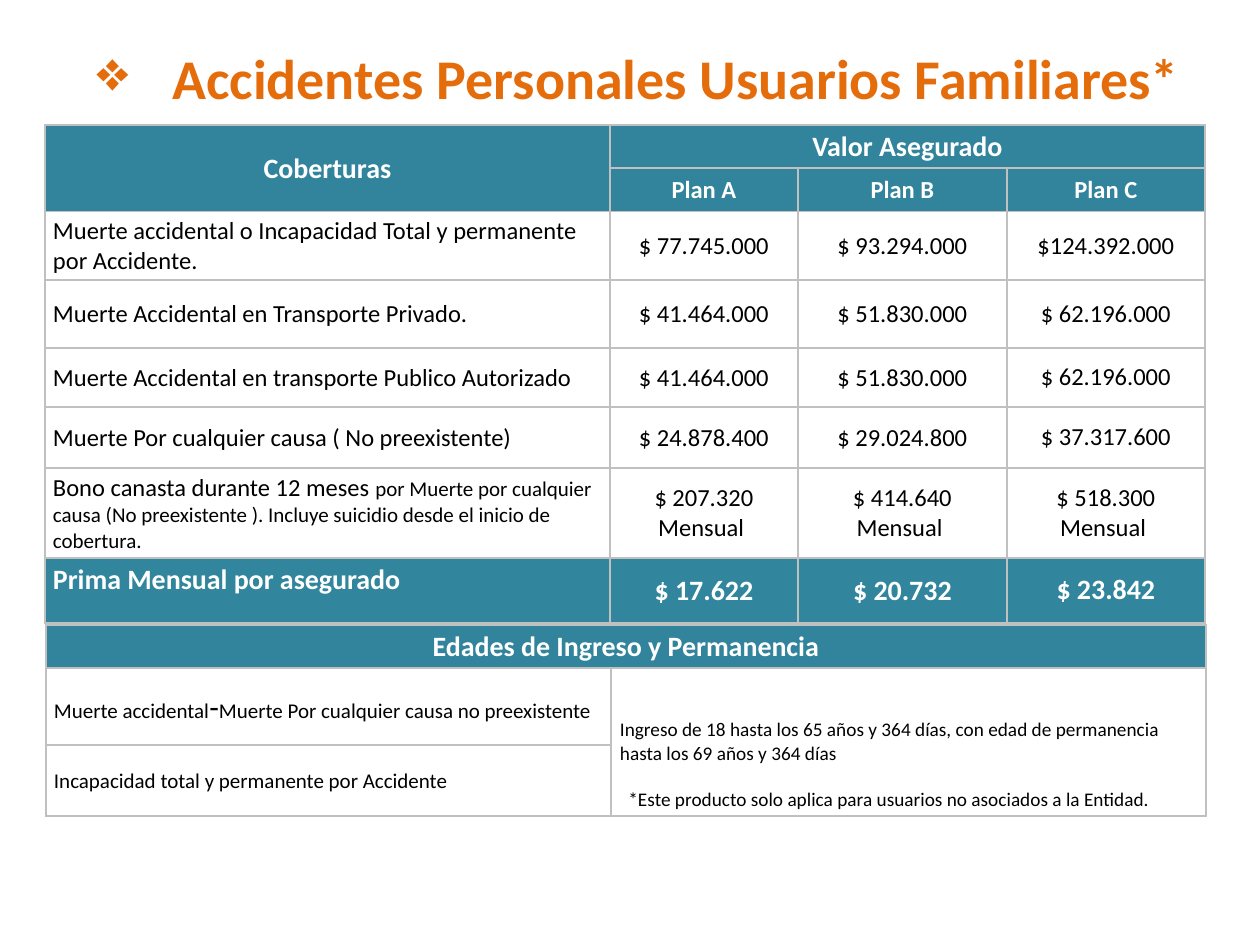
from lxml.etree import SubElement
from pptx import Presentation
from pptx.dml.color import RGBColor
from pptx.enum.text import MSO_ANCHOR, MSO_AUTO_SIZE, PP_ALIGN
from pptx.oxml.ns import qn
from pptx.util import Pt

EMU_PER_PX = 914400 // 126
TEAL, PREMIUM_TEAL = "31849B", "31859C"
WHITE, BLACK, ORANGE, GRAY = "FFFFFF", "000000", "E46C0A", "C0C0C0"

PLANS = ["Plan A", "Plan B", "Plan C"]
COVERAGES = [
    ([("Muerte accidental o Incapacidad Total y permanente por Accidente.", 14)],
     ["$ 77.745.000", "$ 93.294.000", "$124.392.000"]),
    ([("Muerte Accidental en Transporte Privado.", 14)],
     ["$ 41.464.000", "$ 51.830.000", "$ 62.196.000"]),
    ([("Muerte Accidental en transporte Publico Autorizado", 14)],
     ["$ 41.464.000", "$ 51.830.000", "$ 62.196.000"]),
    ([("Muerte Por cualquier causa ( No preexistente)", 14)],
     ["$ 24.878.400", "$ 29.024.800", "$ 37.317.600"]),
    ([("Bono canasta durante 12 meses ", 14),
      ("por Muerte por cualquier causa (No preexistente ). "
       "Incluye suicidio desde el inicio de cobertura.", 12)],
     ["$ 207.320 Mensual ", "$ 414.640\nMensual ", "$ 518.300\nMensual "]),
]
PREMIUMS = ["$ 17.622", "$ 20.732", "$ 23.842"]


def px(length):
    return length * EMU_PER_PX


def rgb(color):
    return RGBColor.from_string(color)


def add_runs(paragraph, runs, color=BLACK, bold=False, align=PP_ALIGN.LEFT):
    paragraph.alignment = align
    for text, size in runs:
        run = paragraph.add_run()
        run.text = text
        run.font.name = "Calibri"
        run.font.size = Pt(size)
        run.font.bold = bold
        run.font.color.rgb = rgb(color)


def add_borders(cell):
    properties = cell._tc.get_or_add_tcPr()
    for side in ("a:lnL", "a:lnR", "a:lnT", "a:lnB"):
        border = SubElement(properties, qn(side), w=str(Pt(1)))
        fill = SubElement(border, qn("a:solidFill"))
        SubElement(fill, qn("a:srgbClr"), val=GRAY)


def add_grid(slide, left, top, widths, heights):
    grid = slide.shapes.add_table(
        len(heights), len(widths), px(left), px(top),
        px(sum(widths)), px(sum(heights))).table
    grid.first_row = grid.horz_banding = False
    for column, width in zip(grid.columns, widths):
        column.width = px(width)
    for row, height in zip(grid.rows, heights):
        row.height = px(height)
    for cell in grid.iter_cells():
        add_borders(cell)
        cell.fill.background()
    return grid


def fill_cell(cell, paragraphs, fill=None, bold=False, align=PP_ALIGN.LEFT,
              anchor=MSO_ANCHOR.MIDDLE, margins=(8, 5, 8, 4)):
    cell.vertical_anchor = anchor
    (cell.margin_left, cell.margin_top,
     cell.margin_right, cell.margin_bottom) = map(px, margins)
    if fill:
        cell.fill.solid()
        cell.fill.fore_color.rgb = rgb(fill)
    color = WHITE if bold else BLACK
    for index, runs in enumerate(paragraphs):
        frame = cell.text_frame
        paragraph = frame.add_paragraph() if index else frame.paragraphs[0]
        add_runs(paragraph, runs, color, bold, align)


def fill_heading(cell, text, size=16, fill=TEAL):
    fill_cell(cell, [[(text, size)]], fill, True, PP_ALIGN.CENTER)


def fill_plan_values(grid, row, values, size=14, fill=None, bold=False):
    for column, value in enumerate(values, 1):
        margins = (9, 0, 9, 0) if column == len(values) else (8, 5, 8, 4)
        lines = [[(line, size)] for line in value.split("\n")]
        fill_cell(grid.cell(row, column), lines, fill, bold,
                  PP_ALIGN.CENTER, margins=margins)


def add_title(slide):
    title = slide.shapes.title
    title.left, title.top, title.width, title.height = map(px, (84, 37, 1132, 81))
    frame = title.text_frame
    frame.auto_size = MSO_AUTO_SIZE.NONE
    frame.vertical_anchor = MSO_ANCHOR.TOP
    heading = frame.paragraphs[0]
    add_runs(heading, [(" Accidentes Personales Usuarios Familiares*", 32)], ORANGE, True)
    properties = heading._p.get_or_add_pPr()
    properties.set("marL", str(px(63)))
    properties.set("indent", str(-px(63)))
    SubElement(properties, qn("a:buChar"), char="❖")


def add_coverage_table(slide):
    grid = add_grid(slide, 45, 125, [565, 188, 209, 198],
                    [42, 43, 67, 68, 59, 61, 89, 65])
    grid.cell(0, 0).merge(grid.cell(1, 0))
    grid.cell(0, 1).merge(grid.cell(0, 3))
    fill_heading(grid.cell(0, 0), "Coberturas")
    fill_heading(grid.cell(0, 1), "Valor Asegurado")
    fill_plan_values(grid, 1, PLANS, fill=TEAL, bold=True)
    for row, (coverage, values) in enumerate(COVERAGES, 2):
        fill_cell(grid.cell(row, 0), [coverage])
        fill_plan_values(grid, row, values)
    premium_row = len(COVERAGES) + 2
    fill_cell(grid.cell(premium_row, 0), [[("Prima Mensual por asegurado", 16)]],
              PREMIUM_TEAL, True, anchor=MSO_ANCHOR.TOP)
    fill_plan_values(grid, premium_row, PREMIUMS, 16, PREMIUM_TEAL, True)


def add_age_table(slide):
    grid = add_grid(slide, 46, 625, [565, 595], [42, 77, 71])
    grid.cell(0, 0).merge(grid.cell(0, 1))
    grid.cell(1, 1).merge(grid.cell(2, 1))
    fill_heading(grid.cell(0, 0), "Edades de Ingreso y Permanencia")
    fill_cell(grid.cell(1, 0), [[
        ("Muerte accidental", 12), ("-", 18),
        ("Muerte Por cualquier causa no preexistente", 12)]], WHITE)
    fill_cell(grid.cell(2, 0),
              [[("Incapacidad total y permanente por Accidente", 12)]], WHITE)
    fill_cell(grid.cell(1, 1), [[
        ("Ingreso de 18 hasta los 65 años y 364 días, con edad de permanencia "
         "hasta los 69 años y 364 días", 11)]], WHITE, margins=(9, 0, 9, 0))


def add_footnote(slide):
    footnote = slide.shapes.add_textbox(*map(px, (616, 781, 587, 36)))
    frame = footnote.text_frame
    frame.word_wrap = True
    add_runs(frame.paragraphs[0], [
        ("*Este producto solo aplica para usuarios no asociados a la Entidad.", 11)])


def main():
    presentation = Presentation()
    presentation.slide_width, presentation.slide_height = px(1260), px(945)
    slide = presentation.slides.add_slide(presentation.slide_layouts[5])
    add_coverage_table(slide)
    add_title(slide)
    add_age_table(slide)
    add_footnote(slide)
    presentation.save("out.pptx")


if __name__ == "__main__":
    main()
